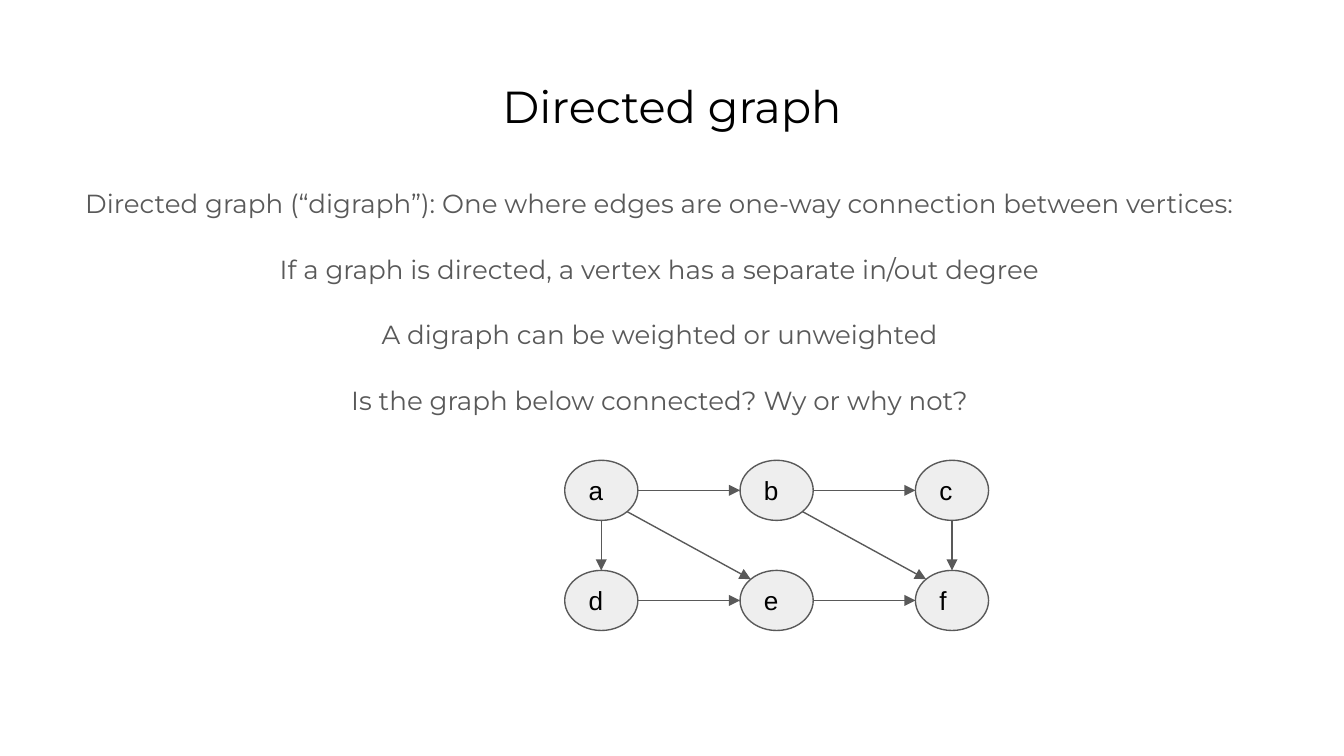
from math import cos, pi, sin

from lxml import etree
from pptx import Presentation
from pptx.dml.color import RGBColor
from pptx.enum.shapes import MSO_CONNECTOR, MSO_SHAPE
from pptx.enum.text import MSO_ANCHOR, PP_ALIGN
from pptx.oxml.ns import qn
from pptx.util import Pt

OVAL = MSO_SHAPE.OVAL
STRAIGHT = MSO_CONNECTOR.STRAIGHT
CENTER, LEFT = PP_ALIGN.CENTER, PP_ALIGN.LEFT
TOP, MIDDLE = MSO_ANCHOR.TOP, MSO_ANCHOR.MIDDLE

COLORS = {"ink": "000000", "gray": "595959", "node": "EEEEEE"}
INSET = 7.2
LINE_WIDTH = 0.75
NODE_WIDTH, NODE_HEIGHT = 39.2, 32.2

STATEMENTS = [
    "Directed graph (“digraph”): One where edges are one-way connection between vertices:",
    "If a graph is directed, a vertex has a separate in/out degree",
    "A digraph can be weighted or unweighted",
    "Is the graph below connected? Wy or why not?",
]
VERTEX_ROWS = ["abc", "def"]
EDGES = ["ab", "bc", "de", "ef", "ad", "cf", "ae", "bf"]

# Angle at which an edge leaves its vertex, by (column step, row step)
EXIT_ANGLES = {(1, 0): 0, (1, 1): pi / 4, (0, 1): pi / 2}


def rgb(name):
    return RGBColor.from_string(COLORS[name])


def write_lines(frame, lines, font, size, color, align, anchor, spacing=1.0, gap=0):
    frame.word_wrap = True
    frame.vertical_anchor = anchor
    frame.margin_left = frame.margin_right = Pt(INSET)
    frame.margin_top = frame.margin_bottom = Pt(INSET)
    for index, line in enumerate(lines):
        paragraph = frame.paragraphs[0] if index == 0 else frame.add_paragraph()
        paragraph.text = line
        paragraph.alignment = align
        paragraph.line_spacing = spacing
        paragraph.space_before = Pt(gap if index else 0)
        paragraph.font.name = font
        paragraph.font.size = Pt(size)
        paragraph.font.color.rgb = rgb(color)


def add_title(slide, left, top, width, height):
    title = slide.shapes.add_textbox(Pt(left), Pt(top), Pt(width), Pt(height))
    write_lines(title.text_frame, ["Directed graph"], "Montserrat", 24, "ink", CENTER, TOP)


def add_statements(slide, left, top, width, height):
    body = slide.shapes.add_textbox(Pt(left), Pt(top), Pt(width), Pt(height))
    write_lines(body.text_frame, STATEMENTS, "Montserrat", 14, "gray", CENTER, TOP,
                spacing=1.15, gap=16)


def add_vertex(slide, label, center_x, center_y):
    vertex = slide.shapes.add_shape(
        OVAL, Pt(center_x - NODE_WIDTH / 2), Pt(center_y - NODE_HEIGHT / 2),
        Pt(NODE_WIDTH), Pt(NODE_HEIGHT))
    vertex.shadow.inherit = False
    vertex.fill.solid()
    vertex.fill.fore_color.rgb = rgb("node")
    vertex.line.color.rgb = rgb("gray")
    vertex.line.width = Pt(LINE_WIDTH)
    write_lines(vertex.text_frame, [label], "Arial", 14, "ink", LEFT, MIDDLE)


def add_edge(slide, start, end, angle):
    """Draw an arrow between the rims of the vertices centred at start and end."""
    rim_x, rim_y = NODE_WIDTH / 2 * cos(angle), NODE_HEIGHT / 2 * sin(angle)
    edge = slide.shapes.add_connector(
        STRAIGHT, Pt(start[0] + rim_x), Pt(start[1] + rim_y),
        Pt(end[0] - rim_x), Pt(end[1] - rim_y))
    edge.line.color.rgb = rgb("gray")
    edge.line.width = Pt(LINE_WIDTH)
    properties = edge._element.spPr
    etree.SubElement(properties.find(qn("a:ln")), qn("a:tailEnd"), type="triangle")
    etree.SubElement(properties, qn("a:effectLst"))


def add_digraph(slide, left, top, width, height):
    column_step = (width - NODE_WIDTH) / (len(VERTEX_ROWS[0]) - 1)
    row_step = (height - NODE_HEIGHT) / (len(VERTEX_ROWS) - 1)
    cells = {label: (column, row)
             for row, labels in enumerate(VERTEX_ROWS)
             for column, label in enumerate(labels)}
    centers = {label: (left + NODE_WIDTH / 2 + column * column_step,
                       top + NODE_HEIGHT / 2 + row * row_step)
               for label, (column, row) in cells.items()}
    for label, center in centers.items():
        add_vertex(slide, label, *center)
    for source, target in EDGES:
        step = (cells[target][0] - cells[source][0], cells[target][1] - cells[source][1])
        add_edge(slide, centers[source], centers[target], EXIT_ANGLES[step])


def main():
    presentation = Presentation()
    presentation.slide_width, presentation.slide_height = Pt(720), Pt(405)
    slide = presentation.slides.add_slide(presentation.slide_layouts[6])
    add_title(slide, 24.5, 35, 671, 45.1)
    add_statements(slide, 24.5, 90.5, 658, 145)
    add_digraph(slide, 302.5, 246.6, 227.1, 91.2)
    presentation.save("out.pptx")


if __name__ == "__main__":
    main()
